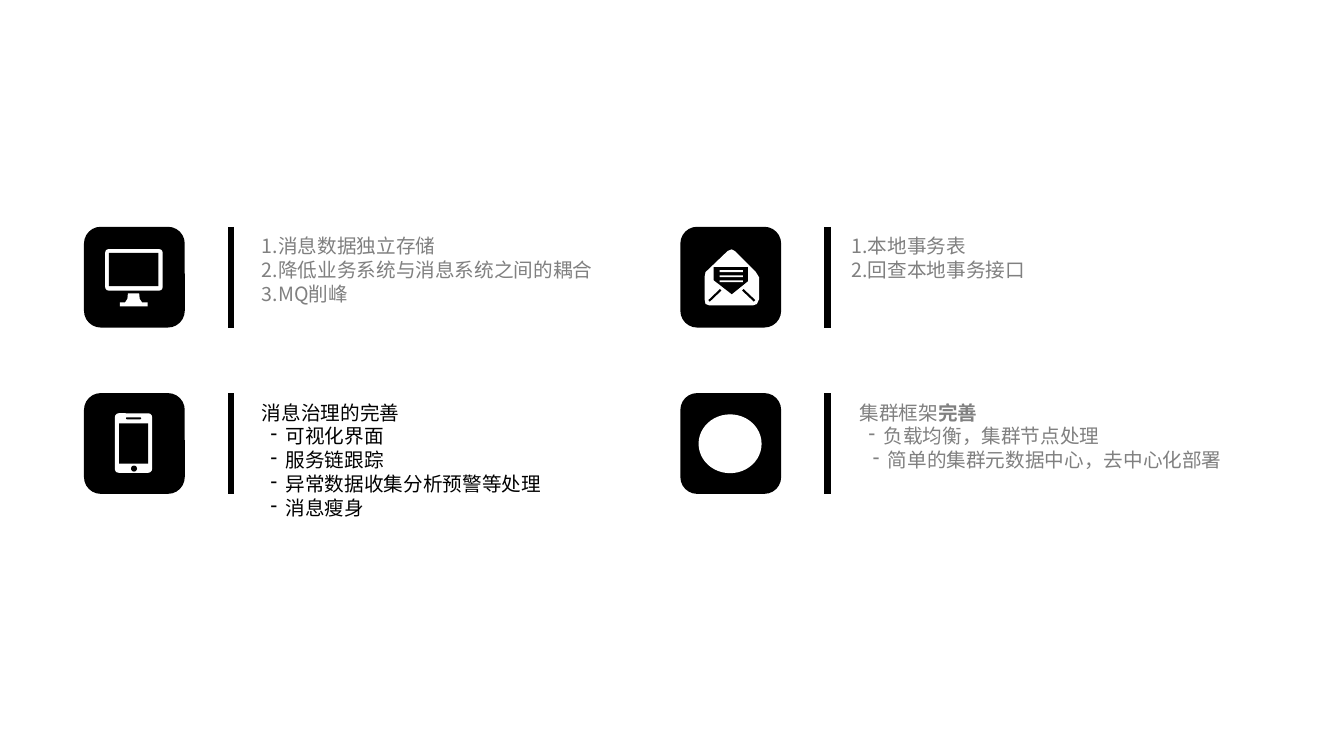
from lxml import etree
from pptx import Presentation
from pptx.dml.color import RGBColor
from pptx.enum.shapes import MSO_CONNECTOR, MSO_SHAPE
from pptx.oxml.ns import qn
from pptx.util import Pt

ROUNDED = MSO_SHAPE.ROUNDED_RECTANGLE
RECTANGLE = MSO_SHAPE.RECTANGLE
OVAL = MSO_SHAPE.OVAL
STRAIGHT = MSO_CONNECTOR.STRAIGHT

BLACK = RGBColor(0, 0, 0)
WHITE = RGBColor(255, 255, 255)
GRAY = RGBColor(128, 128, 128)
FONT = "Noto Sans CJK SC"

COLUMNS = (60, 486)
ROWS = (162, 280.8)
TILE = 72
BAR_OFFSET = 105
TEXT_TOP_OFFSET = 1.5
TEXT_WIDTH = 293
LINE_PITCH = 17
HANGING = 10.7

presentation = Presentation()
presentation.slide_width = Pt(960)
presentation.slide_height = Pt(540)
slide = presentation.slides.add_slide(presentation.slide_layouts[6])


def add_plain(kind, left, top, width, height, color, corner=None):
    shape = slide.shapes.add_shape(kind, Pt(left), Pt(top), Pt(width), Pt(height))
    shape.shadow.inherit = False
    shape.fill.solid()
    shape.fill.fore_color.rgb = color
    shape.line.fill.background()
    if corner is not None:
        shape.adjustments[0] = corner


def add_line(x1, y1, x2, y2, weight):
    line = slide.shapes.add_connector(STRAIGHT, Pt(x1), Pt(y1), Pt(x2), Pt(y2))
    line.line.color.rgb = BLACK
    line.line.width = Pt(weight)
    etree.SubElement(line._element.spPr, qn("a:effectLst"))


for column in COLUMNS:
    for row in ROWS:
        add_plain(ROUNDED, column, row, TILE, TILE, BLACK)
        bar = column + BAR_OFFSET
        add_line(bar, row, bar, row + TILE, 4.5)

monitor_and_phone = [
    (ROUNDED, 75.2, 178, 41, 29.6, WHITE, 0.08),
    (RECTANGLE, 77.8, 180.7, 35.3, 23.8, BLACK),
    (ROUNDED, 82.1, 295.2, 26.6, 42.5, WHITE, 0.1),
    (RECTANGLE, 85, 302.4, 20.9, 28.8, BLACK),
    (ROUNDED, 90, 298.1, 10.8, 1.4, BLACK, 0.5),
    (OVAL, 93.6, 332.6, 4.3, 4.3, BLACK),
]
for part in monitor_and_phone:
    add_plain(*part)

monitor_stand = [
    (91.4, 209.5), (99.4, 209.5), (99.8, 213.5), (101.5, 216), (105.5, 216),
    (105.5, 218.9), (85.7, 218.9), (85.7, 216), (89.3, 216), (91, 213.5),
]
envelope = [
    (504, 194.4), (519.8, 179.3), (522.7, 178.1), (524.9, 179.3), (540, 194.4),
    (542.2, 198), (542.2, 213.8), (540.7, 217.1), (537.8, 218.2),
    (506.9, 218.2), (504, 217.1), (503.3, 213.8), (503.3, 198),
]
letter = [
    (509.8, 190.8), (534.2, 190.8), (534.2, 200.9), (522.7, 210.2), (509.8, 200.2),
]
for points, color in ((monitor_stand, WHITE), (envelope, WHITE), (letter, BLACK)):
    corners = [(Pt(x), Pt(y)) for x, y in points]
    builder = slide.shapes.build_freeform(*corners[0])
    builder.add_line_segments(corners[1:], close=True)
    outline = builder.convert_to_shape()
    outline.shadow.inherit = False
    outline.fill.solid()
    outline.fill.fore_color.rgb = color
    outline.line.fill.background()

for index in range(3):
    add_plain(RECTANGLE, 514.1, 193 + 3.6 * index, 16.6, 1.4, WHITE)
add_line(514.8, 207, 506.5, 214.9, 1.5)
add_line(530.6, 207, 539, 214.9, 1.5)

add_plain(OVAL, 499, 296, 45, 42, WHITE)

text_blocks = [
    (180, ROWS[0], GRAY, [
        (0, "1.消息数据独立存储", ""),
        (0, "2.降低业务系统与消息系统之间的耦合", ""),
        (0, "3.MQ削峰", ""),
    ]),
    (180, ROWS[1], BLACK, [
        (0, "消息治理的完善", ""),
        (6.3, "可视化界面", ""),
        (6.3, "服务链跟踪", ""),
        (6.3, "异常数据收集分析预警等处理", ""),
        (6.3, "消息瘦身", ""),
    ]),
    (601.2, ROWS[0], GRAY, [
        (0, "1.本地事务表", ""),
        (0, "2.回查本地事务接口", ""),
    ]),
    (607, ROWS[1], GRAY, [
        (0, "集群框架", "完善"),
        (6.3, "负载均衡，集群节点处理", ""),
        (9.4, "简单的集群元数据中心，去中心化部署", ""),
    ]),
]
for left, row, color, items in text_blocks:
    height = LINE_PITCH * len(items) + 7.2
    box = slide.shapes.add_textbox(
        Pt(left), Pt(row + TEXT_TOP_OFFSET), Pt(TEXT_WIDTH), Pt(height))
    text_frame = box.text_frame
    text_frame.word_wrap = True
    text_frame.text = "\n".join(text for indent, text, bold_text in items)
    for paragraph, (indent, text, bold_text) in zip(text_frame.paragraphs, items):
        paragraph.line_spacing = Pt(LINE_PITCH)
        if indent:
            properties = paragraph._p.get_or_add_pPr()
            properties.set("marL", str(Pt(indent + HANGING)))
            properties.set("indent", str(-Pt(HANGING)))
            etree.SubElement(properties, qn("a:buChar"), char="-")
        if bold_text:
            bold_run = paragraph.add_run()
            bold_run.text = bold_text
            bold_run.font.bold = True
        for run in paragraph.runs:
            run.font.size = Pt(14)
            run.font.name = FONT
            run.font.color.rgb = color
            etree.SubElement(run._r.get_or_add_rPr(), qn("a:ea"), typeface=FONT)

presentation.save("out.pptx")
